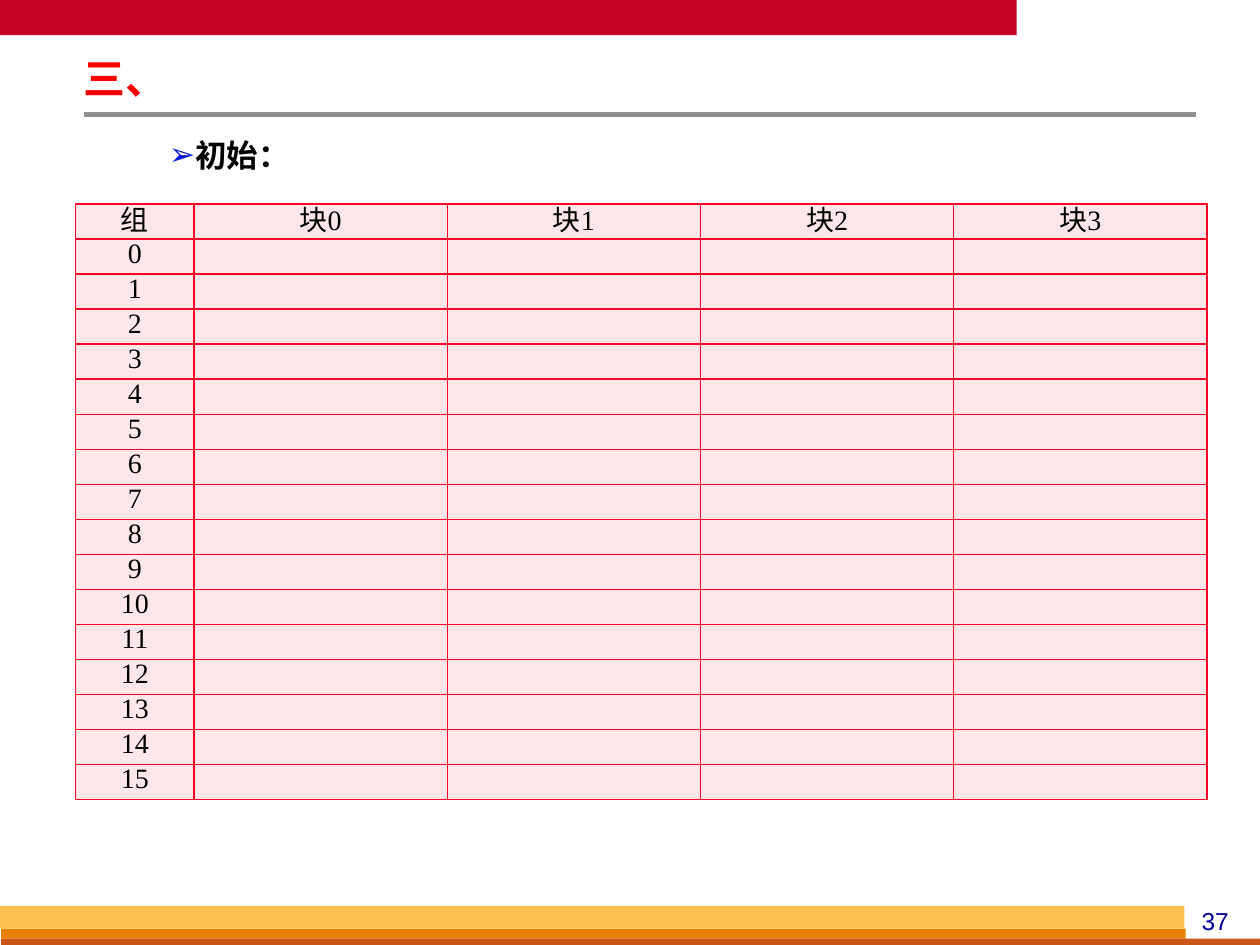
from dataclasses import dataclass

from lxml import etree
from pptx import Presentation
from pptx.dml.color import RGBColor
from pptx.enum.shapes import MSO_CONNECTOR, MSO_SHAPE
from pptx.enum.text import MSO_ANCHOR, MSO_AUTO_SIZE, PP_ALIGN
from pptx.oxml.ns import qn
from pptx.util import Inches, Pt


@dataclass(frozen=True)
class Theme:
    banner: str = "C30224"
    rule: str = "919191"
    gold: str = "FCC24F"
    orange: str = "E88000"
    rust: str = "C95616"
    title: str = "FF0000"
    ink: str = "000000"
    bullet: str = "001ADC"
    page: str = "000099"
    cell: str = "FEE7E8"
    border: str = "FC0128"
    serif: str = "Times New Roman"
    sans: str = "Arial"
    title_size: int = 24
    body_size: int = 18
    table_size: int = 16
    page_size: int = 14
    empty_size: int = 10


@dataclass(frozen=True)
class Band:
    left: float
    top: float
    width: float
    height: float
    color: str


THEME = Theme()
BANDS = [
    Band(0, 0, 8.07, 0.28, THEME.banner),
    Band(0.01, 7.37, 9.4, 0.08, THEME.orange),
    Band(0.01, 7.45, 9.99, 0.05, THEME.rust),
    Band(0, 7.19, 9.4, 0.18, THEME.gold),
]
SET_COUNT, BLOCK_COUNT = 16, 4
ROW_HEIGHT, SET_WIDTH, BLOCK_WIDTH = 0.278, 0.94, 2.01


def rgb(color: str) -> RGBColor:
    return RGBColor.from_string(color)


def place(shape, left: float, top: float, width: float, height: float) -> None:
    shape.left, shape.top = Inches(left), Inches(top)
    shape.width, shape.height = Inches(width), Inches(height)


def set_frame(frame, side: float, edge: float, anchor) -> None:
    frame.word_wrap = True
    frame.auto_size = MSO_AUTO_SIZE.NONE
    frame.margin_left = frame.margin_right = Inches(side)
    frame.margin_top = frame.margin_bottom = Inches(edge)
    frame.vertical_anchor = anchor


def write(frame, text: str, size: int, color: str, font: str = THEME.serif,
          bold: bool = False, align=PP_ALIGN.LEFT, spacing: float = 1.0):
    frame.text = text
    line = frame.paragraphs[0]
    line.alignment, line.line_spacing = align, spacing
    for run in line.runs:
        run.font.size, run.font.bold, run.font.name = Pt(size), bold, font
        run.font.color.rgb = rgb(color)
    return line


def add_band(slide, band: Band) -> None:
    bar = slide.shapes.add_shape(MSO_SHAPE.RECTANGLE, Inches(band.left), Inches(band.top),
                                 Inches(band.width), Inches(band.height))
    bar.shadow.inherit = False
    bar.fill.solid()
    bar.fill.fore_color.rgb = rgb(band.color)
    bar.line.fill.background()


def add_bullet(line, mark: str, indent: float, hanging: float) -> None:
    props = line._p.get_or_add_pPr()
    props.set("marL", str(Inches(indent)))
    props.set("indent", str(Inches(-hanging)))
    color = etree.SubElement(props, qn("a:buClr"))
    etree.SubElement(color, qn("a:srgbClr"), val=THEME.bullet)
    etree.SubElement(props, qn("a:buFont"), typeface=THEME.sans)
    etree.SubElement(props, qn("a:buChar"), char=mark)


def style_cell(cell, text: str) -> None:
    cell.fill.solid()
    cell.fill.fore_color.rgb = rgb(THEME.cell)
    cell.margin_left = cell.margin_right = Inches(0.1)
    cell.margin_top = cell.margin_bottom = 0
    cell.vertical_anchor = MSO_ANCHOR.MIDDLE
    line = write(cell.text_frame, text, THEME.table_size, THEME.ink,
                 align=PP_ALIGN.CENTER, spacing=0.75)
    if not text:
        etree.SubElement(line._p, qn("a:endParaRPr"), sz=str(THEME.empty_size * 100))
    props = cell._tc.get_or_add_tcPr()
    for position, side in enumerate(("lnL", "lnR", "lnT", "lnB")):
        edge = etree.Element(qn(f"a:{side}"), w=str(Pt(1)))
        fill = etree.SubElement(edge, qn("a:solidFill"))
        etree.SubElement(fill, qn("a:srgbClr"), val=THEME.border)
        props.insert(position, edge)


def add_cache_table(slide) -> None:
    header = ["组"] + [f"块{block}" for block in range(BLOCK_COUNT)]
    rows = [header] + [[str(index)] + [""] * BLOCK_COUNT for index in range(SET_COUNT)]
    widths = [SET_WIDTH] + [BLOCK_WIDTH] * BLOCK_COUNT
    cache = slide.shapes.add_table(len(rows), len(widths), Inches(0.6), Inches(1.62),
                                   Inches(sum(widths)), Inches(ROW_HEIGHT * len(rows))).table
    cache.first_row = cache.horz_banding = False
    for column, width in zip(cache.columns, widths):
        column.width = Inches(width)
    for row, texts in zip(cache.rows, rows):
        row.height = Inches(ROW_HEIGHT)
        for cell, text in zip(row.cells, texts):
            style_cell(cell, text)


deck = Presentation()
deck.slide_width, deck.slide_height = Inches(10), Inches(7.5)
slide = deck.slides.add_slide(deck.slide_layouts[1])

# Banner, footer bands and title rule
for band in BANDS:
    add_band(slide, band)
title_rule = slide.shapes.add_connector(MSO_CONNECTOR.STRAIGHT, Inches(0.67), Inches(0.91),
                                        Inches(9.49), Inches(0.91))
title_rule.line.color.rgb = rgb(THEME.rule)
title_rule.line.width = Pt(3)
etree.SubElement(title_rule._element.spPr, qn("a:effectLst"))

# Page number
page_number = slide.shapes.add_textbox(Inches(9.33), Inches(7.14), Inches(0.63), Inches(0.33))
set_frame(page_number.text_frame, 0.1, 0.05, MSO_ANCHOR.TOP)
write(page_number.text_frame, "37", THEME.page_size, THEME.page, THEME.sans,
      align=PP_ALIGN.CENTER)

# Title and initial-state heading
heading, initial_state = slide.placeholders
place(heading, 0.59, 0.44, 5.75, 0.41)
set_frame(heading.text_frame, 0.07, 0.03, MSO_ANCHOR.MIDDLE)
write(heading.text_frame, "三、", THEME.title_size, THEME.title, bold=True, spacing=0.87)

place(initial_state, 0.75, 0.99, 8.58, 0.39)
set_frame(initial_state.text_frame, 0.07, 0.03, MSO_ANCHOR.TOP)
initial_line = write(initial_state.text_frame, "初始：", THEME.body_size, THEME.ink,
                     bold=True, spacing=1.2)
initial_line.level = 1
initial_line.space_before = initial_line.space_after = Pt(3.6)
add_bullet(initial_line, "➢", 0.73, 0.21)

# Cache sets and blocks
add_cache_table(slide)

deck.save("out.pptx")
